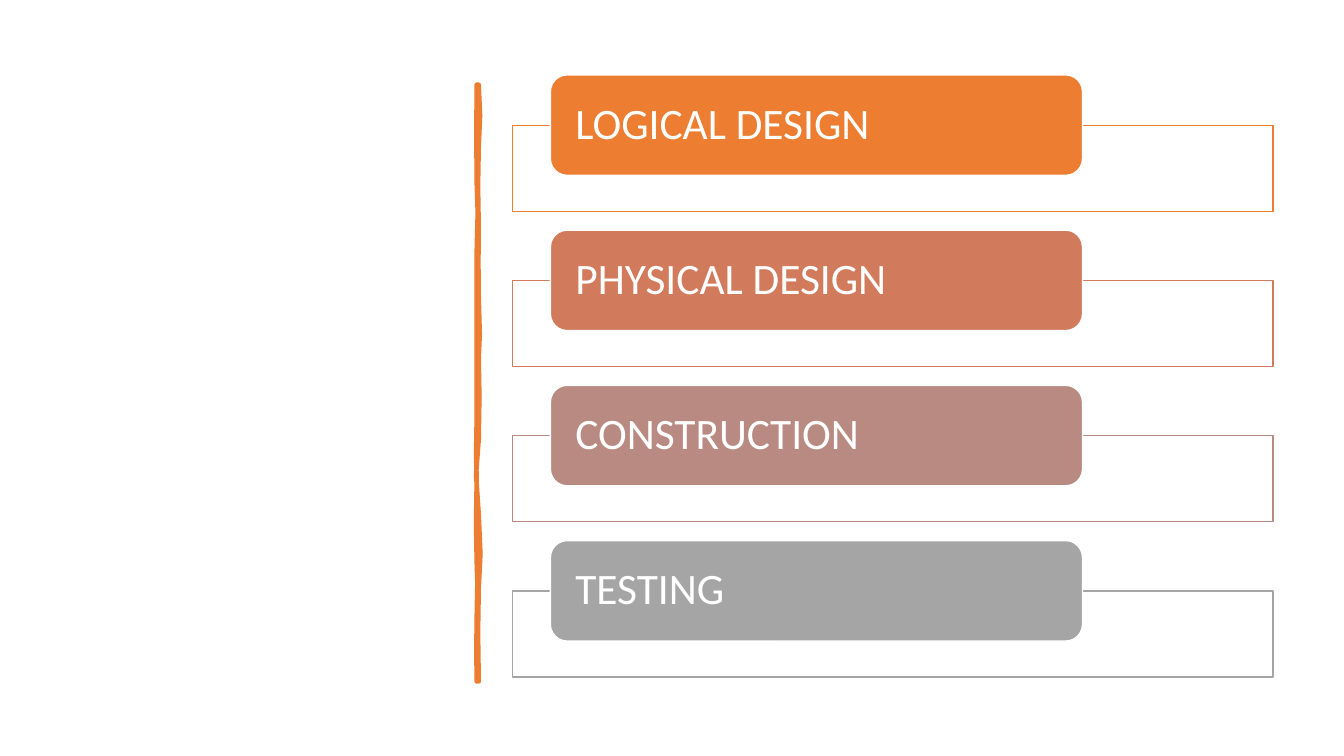
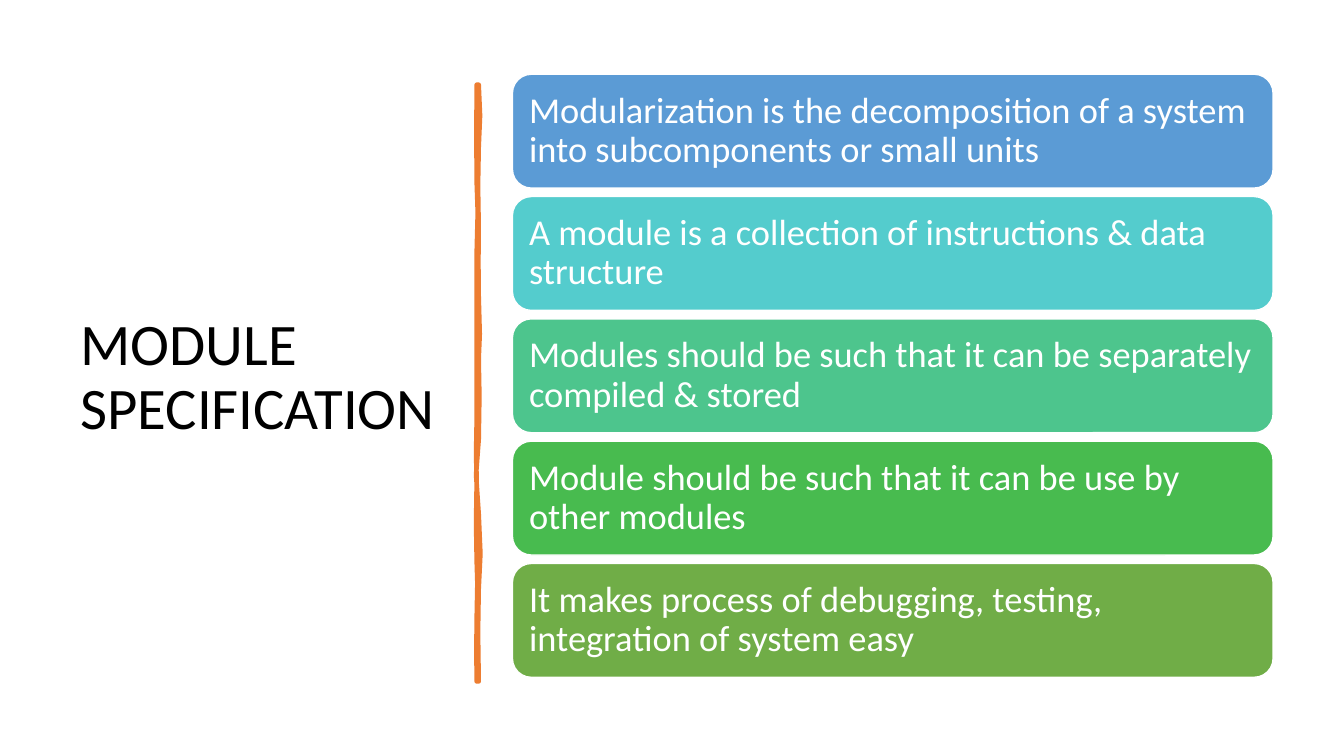
from lxml import etree
from pptx import Presentation
from pptx import util as u
from pptx.dml.color import RGBColor
from pptx.enum import shapes, text
from pptx.oxml.ns import qn

PX = 3048  # EMU per px, 300 px to the inch
FONT = "Calibri"
WHITE = RGBColor(0xFF, 0xFF, 0xFF)
BLACK = RGBColor(0x00, 0x00, 0x00)
ORANGE = RGBColor(0xED, 0x7D, 0x31)
TERRACOTTA = RGBColor(0xD1, 0x7B, 0x5C)
ROSE = RGBColor(0xB9, 0x8A, 0x82)
GREY = RGBColor(0xA5, 0xA5, 0xA5)
BLUE = RGBColor(0x5B, 0x9B, 0xD5)
TURQUOISE = RGBColor(0x54, 0xCC, 0xCD)
MINT = RGBColor(0x4D, 0xC5, 0x8D)
GREEN = RGBColor(0x48, 0xBB, 0x4F)
OLIVE = RGBColor(0x70, 0xAD, 0x47)

# Content column shared by both slides
COLUMN_LEFT, COLUMN_WIDTH = 1525, 2264

PHASES = [
    ("LOGICAL DESIGN", ORANGE),
    ("PHYSICAL DESIGN", TERRACOTTA),
    ("CONSTRUCTION", ROSE),
    ("TESTING", GREY),
]
MODULE_POINTS = [
    ("Modularization is the decomposition of a system into subcomponents "
     "or small units", BLUE),
    ("A module is a collection of instructions & data structure", TURQUOISE),
    ("Modules should be such that it can be separately compiled & stored", MINT),
    ("Module should be such that it can be use by other modules", GREEN),
    ("It makes process of debugging, testing, integration of system easy", OLIVE),
]

# Hand-drawn divider: down the right edge, then up the left edge
DIVIDER_OUTLINE = [
    (1425, 252), (1429, 344), (1425, 438), (1423, 553), (1425, 678),
    (1424, 779), (1425, 882), (1428, 994), (1425, 1068), (1427, 1179),
    (1425, 1308), (1417, 1413), (1425, 1530), (1430, 1648), (1425, 1752),
    (1423, 1882), (1425, 2028),
    (1419, 2028), (1418, 1935), (1419, 1839), (1421, 1736), (1419, 1671),
    (1417, 1557), (1419, 1431), (1417, 1351), (1419, 1245), (1419, 1135),
    (1419, 1005), (1419, 871), (1419, 750), (1422, 632), (1419, 543),
    (1418, 400), (1419, 252),
]


def px(*lengths):
    return [u.Emu(length * PX) for length in lengths]


def paint(shape, fill, line, line_width):
    shape.shadow.inherit = False
    shape.fill.solid()
    shape.fill.fore_color.rgb = fill
    shape.line.color.rgb = line
    shape.line.width = u.Pt(line_width)


def set_opacity(shape, percent):
    fill = shape.fill._xPr.find(qn("a:solidFill"))
    etree.SubElement(fill[0], qn("a:alpha"), val=str(percent * 1000))


def write(shape, words, size, color, inset_x, inset_y):
    frame = shape.text_frame
    frame.word_wrap = True
    frame.vertical_anchor = text.MSO_ANCHOR.MIDDLE
    frame.margin_left, frame.margin_top = px(inset_x, inset_y)
    frame.margin_right, frame.margin_bottom = px(inset_x, inset_y)
    paragraph = frame.paragraphs[0]
    paragraph.alignment = text.PP_ALIGN.LEFT
    paragraph.line_spacing = 0.9
    run = paragraph.add_run()
    run.text = words
    run.font.name = FONT
    run.font.size = u.Pt(size)
    run.font.color.rgb = color


def add_panel(slide, kind, box, fill, line):
    panel = slide.shapes.add_shape(kind, *px(*box))
    paint(panel, fill, line, 1)
    return panel


def add_divider(slide):
    start, *rest = DIVIDER_OUTLINE
    outline = slide.shapes.build_freeform(*start, scale=PX)
    outline.add_line_segments(rest, close=True)
    paint(outline.convert_to_shape(), ORANGE, ORANGE, 3.25)


def add_title(slide, words):
    title = slide.shapes.add_textbox(*px(210, 210, 1122, 1833))
    write(title, words, 42, BLACK, 30, 15)


def add_phases(slide):
    first_top, label_height, pitch = 223, 299, 462
    for row, (phase, color) in enumerate(PHASES):
        top = first_top + row * pitch
        slot = add_panel(slide, shapes.MSO_SHAPE.RECTANGLE,
                         (COLUMN_LEFT, top + 150, COLUMN_WIDTH, 256),
                         WHITE, color)
        set_opacity(slot, 90)
        label = add_panel(slide, shapes.MSO_SHAPE.ROUNDED_RECTANGLE,
                          (1638, top, 1584, label_height), color, WHITE)
        write(label, phase, 31, WHITE, 60, 0)


def add_points(slide):
    first_top, height, gap = 221, 339, 25
    for row, (point, color) in enumerate(MODULE_POINTS):
        top = first_top + row * (height + gap)
        card = add_panel(slide, shapes.MSO_SHAPE.ROUNDED_RECTANGLE,
                         (COLUMN_LEFT, top, COLUMN_WIDTH, height), color, WHITE)
        write(card, point, 26, WHITE, 33, 33)


def main():
    deck = Presentation()
    deck.slide_width, deck.slide_height = px(4000, 2250)
    blank = deck.slide_layouts[6]

    # Development phases
    phases = deck.slides.add_slide(blank)
    add_divider(phases)
    add_phases(phases)

    # Module specification
    specification = deck.slides.add_slide(blank)
    add_title(specification, "MODULE SPECIFICATION")
    add_divider(specification)
    add_points(specification)

    deck.save("out.pptx")


if __name__ == "__main__":
    main()
